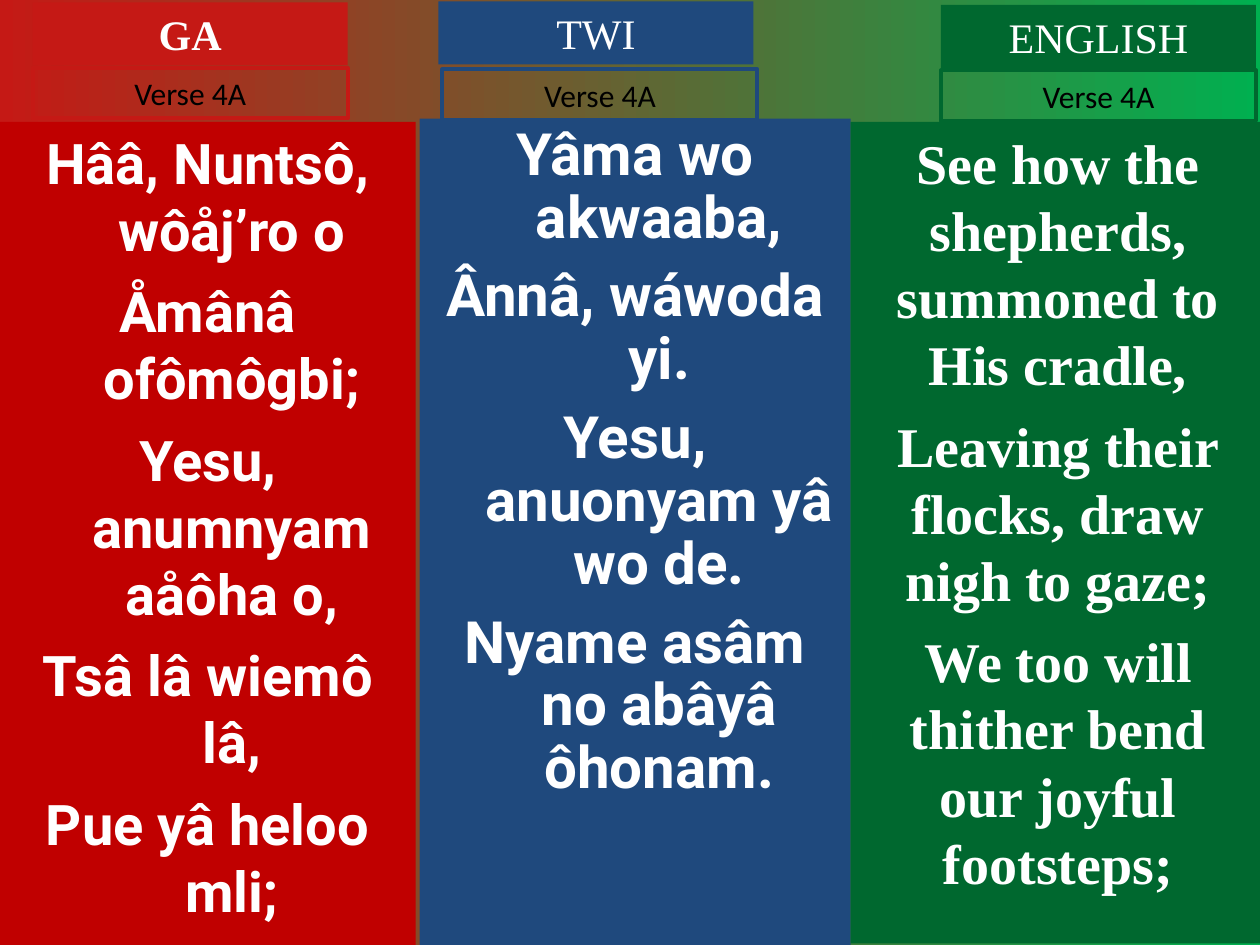
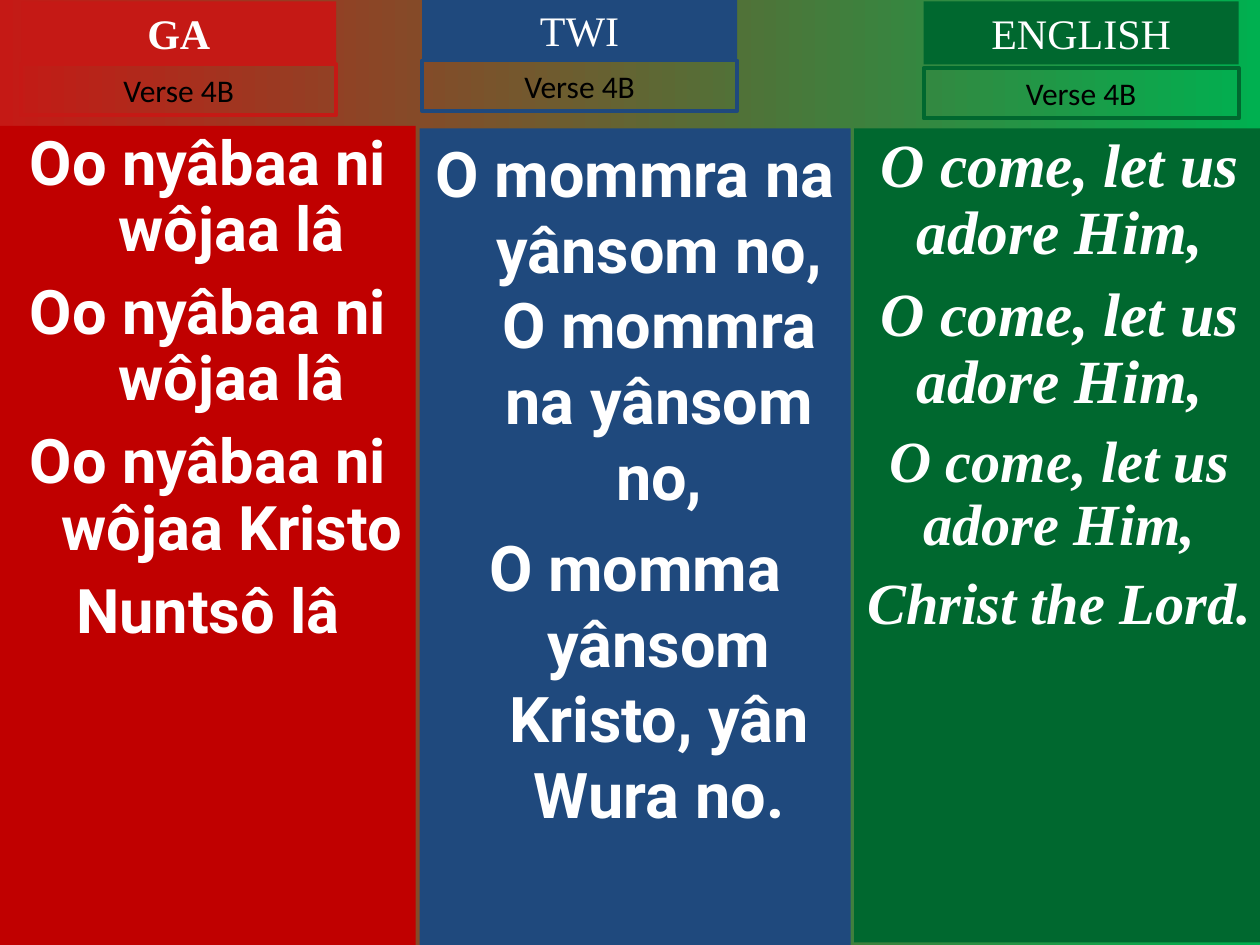
from dataclasses import dataclass
from typing import Optional

from pptx import Presentation
from pptx import util as u
from pptx.dml.color import RGBColor
from pptx.enum import shapes, text

# Shared look
WHITE, BLACK = "FFFFFF", "000000"
RED, DEEP_RED, BLUE, GREEN, BRIGHT_GREEN = "C51915", "C00000", "1F497D", "00682F", "00B050"
SERIF, SANS, LABEL = "Times New Roman", "Roboto", "Calibri"
TAB_WIDTH, TITLE_HEIGHT, VERSE_HEIGHT = 6.35, 1.27, 1.02
HANGING = 0.97


@dataclass(frozen=True)
class Language:
    name: str
    tab_color: str
    panel_color: str
    font: str
    hanging: bool = False
    bold_title: bool = False


@dataclass(frozen=True)
class Line:
    words: str
    size: float
    before: float


@dataclass(frozen=True)
class Box:
    left: float
    top: float
    width: float
    height: float


@dataclass(frozen=True)
class Column:
    language: Language
    panel: Box
    title_at: tuple[float, float]
    verse_at: tuple[float, float]
    lines: list[Line]
    spacing: Optional[float] = None
    italic: Optional[bool] = None


@dataclass(frozen=True)
class Verse:
    label: str
    columns: list[Column]


GA = Language("GA", RED, DEEP_RED, SANS, hanging=True, bold_title=True)
TWI = Language("TWI", BLUE, BLUE, SANS, hanging=True)
ENGLISH = Language("ENGLISH", GREEN, GREEN, SERIF)


def lyrics(size: float, before: float, *lines: str) -> list[Line]:
    return [Line(words, size, before) for words in lines]


VERSES = [
    Verse("Verse 4A", [
        Column(GA, Box(0, 2.46, 8.38, 16.59), (0.66, 0.05), (0.66, 1.37),
               lyrics(32, 8, "Hââ, Nuntsô, wôåj’ro o", "Åmânâ ofômôgbi;",
                      "Yesu, anumnyam aåôha o,", "Tsâ lâ wiemô lâ,",
                      "Pue yâ heloo mli;")),
        Column(TWI, Box(8.46, 2.39, 8.69, 16.66), (8.84, 0.03), (8.92, 1.4),
               lyrics(33.3, 9, "Yâma wo akwaaba,", "Ânnâ, wáwoda yi.",
                      "Yesu, anuonyam yâ wo de.", "Nyame asâm no abâyâ ôhonam."),
               spacing=0.9),
        Column(ENGLISH, Box(17.15, 2.46, 8.36, 16.56), (18.97, 0.1), (18.97, 1.42),
               lyrics(32, 8, "See how the shepherds, summoned to His cradle,",
                      "Leaving their flocks, draw nigh to gaze;",
                      "We too will thither bend our joyful footsteps;")),
    ]),
    Verse("Verse 4B", [
        Column(GA, Box(0, 2.54, 8.38, 16.51), (0.43, 0.03), (0.43, 1.3),
               lyrics(35.1, 9.5, "Oo nyâbaa ni wôjaa lâ", "Oo nyâbaa ni wôjaa lâ",
                      "Oo nyâbaa ni wôjaa Kristo", "Nuntsô lâ"),
               spacing=0.9),
        Column(TWI, Box(8.46, 2.59, 8.69, 16.46), (8.51, -0.03), (8.51, 1.22),
               lyrics(36, 9, "O mommra na yânsom no, O mommra na yânsom no,",
                      "O momma yânsom Kristo, yân Wura no.")),
        Column(ENGLISH, Box(17.22, 2.59, 8.28, 16.41), (18.62, 0.03), (18.62, 1.37),
               lyrics(35.1, 9.5, *["O come, let us adore Him,"] * 2)
               + lyrics(33.3, 9, "O come, let us adore Him,", "Christ the Lord."),
               spacing=0.9, italic=True),
    ]),
]


def rgb(color: str) -> RGBColor:
    return RGBColor.from_string(color)


def add_box(page, place: Box, fill: Optional[str] = None, line: Optional[str] = None):
    """Add a rectangle, filled or outlined, with text starting at the top."""
    box = page.shapes.add_shape(
        shapes.MSO_SHAPE.RECTANGLE, u.Cm(place.left), u.Cm(place.top),
        u.Cm(place.width), u.Cm(place.height))
    box.shadow.inherit = False
    if fill:
        box.fill.solid()
        box.fill.fore_color.rgb = rgb(fill)
    else:
        box.fill.background()
    if line:
        box.line.color.rgb = rgb(line)
        box.line.width = u.Pt(2.25)
    else:
        box.line.fill.background()
    box.text_frame.word_wrap = True
    box.text_frame.vertical_anchor = text.MSO_ANCHOR.TOP
    return box


def write(para, words: str, font: str, size: float, color: str,
          bold: Optional[bool] = None, italic: Optional[bool] = None) -> None:
    para.text = words
    para.alignment = text.PP_ALIGN.CENTER
    para.font.name = font
    para.font.size = u.Pt(size)
    para.font.color.rgb = rgb(color)
    para.font.bold = bold
    para.font.italic = italic


def draw_panel(page, column: Column) -> None:
    language = column.language
    frame = add_box(page, column.panel, fill=language.panel_color).text_frame
    for index, line in enumerate(column.lines):
        para = frame.add_paragraph() if index else frame.paragraphs[0]
        if language.hanging:
            properties = para._p.get_or_add_pPr()
            properties.set("marL", str(u.Cm(HANGING)))
            properties.set("indent", str(-u.Cm(HANGING)))
        if column.spacing:
            para.line_spacing = column.spacing
        if index:
            para.space_before = u.Pt(line.before)
        write(para, line.words, language.font, line.size, WHITE, True, column.italic)


def draw_tabs(page, column: Column, label: str) -> None:
    language = column.language
    title = add_box(page, Box(*column.title_at, TAB_WIDTH, TITLE_HEIGHT),
                    fill=language.tab_color)
    write(title.text_frame.paragraphs[0], language.name, SERIF, 24, WHITE,
          language.bold_title)
    verse = add_box(page, Box(*column.verse_at, TAB_WIDTH, VERSE_HEIGHT),
                    line=language.tab_color)
    write(verse.text_frame.paragraphs[0], label, LABEL, 18, BLACK)
    for box in (title, verse):
        box.text_frame.auto_size = text.MSO_AUTO_SIZE.SHAPE_TO_FIT_TEXT


def paint_background(page) -> None:
    fill = page.background.fill
    fill.gradient()
    fill.gradient_angle = 0
    for stop, color in zip(fill.gradient_stops, (RED, BRIGHT_GREEN)):
        stop.color.rgb = rgb(color)


def main() -> None:
    deck = Presentation()
    deck.slide_width, deck.slide_height = u.Cm(25.4), u.Cm(19.05)
    for verse in VERSES:
        page = deck.slides.add_slide(deck.slide_layouts[6])
        paint_background(page)
        for column in verse.columns:
            draw_panel(page, column)
            draw_tabs(page, column, verse.label)
    deck.save("out.pptx")


if __name__ == "__main__":
    main()
